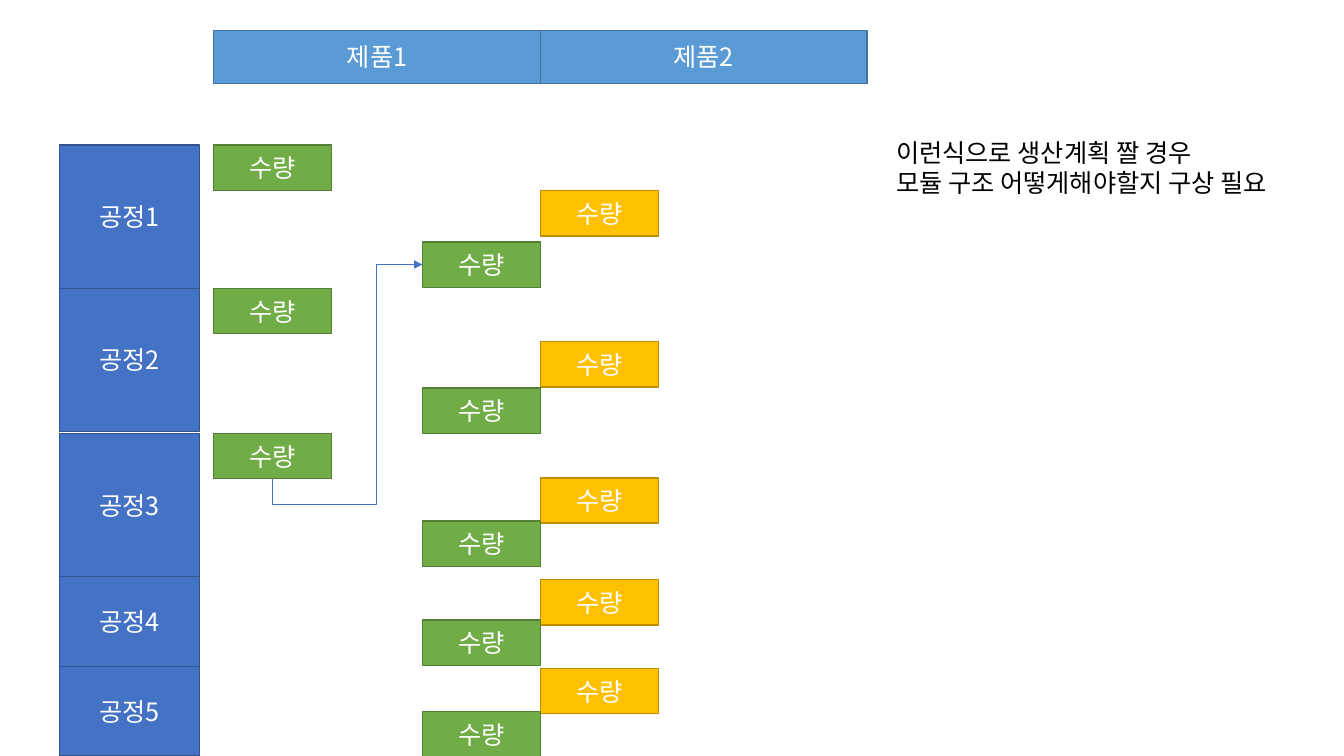
from lxml import etree
from pptx import Presentation
from pptx import util as u
from pptx.dml.color import RGBColor
from pptx.enum import shapes, text
from pptx.oxml.ns import qn

FONT = "Noto Sans CJK KR"
WHITE = RGBColor(0xFF, 0xFF, 0xFF)
BLACK = RGBColor(0, 0, 0)
BLUE = RGBColor(0x44, 0x72, 0xC4)
# Each style is a fill and a line colour
PROCESS = (BLUE, RGBColor(0x32, 0x54, 0x91))
PRODUCT = (RGBColor(0x5B, 0x9B, 0xD5), RGBColor(0x43, 0x73, 0x9E))
GREEN = (RGBColor(0x70, 0xAD, 0x47), RGBColor(0x53, 0x80, 0x35))
YELLOW = (RGBColor(0xFF, 0xC0, 0x00), RGBColor(0xBD, 0x8E, 0x00))

PROCESS_TOPS = [1.44, 2.86, 4.3, 5.72, 6.61]
PROCESS_HEIGHTS = [1.42, 1.42, 1.42, 0.89, 0.89]
PRODUCT_LEFT, PRODUCT_WIDTH = 2.12, 3.24
QUANTITY_WIDTH, QUANTITY_HEIGHT = 1.17, 0.45
SECOND_LEFT = PRODUCT_LEFT + PRODUCT_WIDTH
FIRST_END = SECOND_LEFT - QUANTITY_WIDTH
QUANTITY_COLUMNS = [
    (PRODUCT_LEFT, PROCESS_TOPS[:3], GREEN),
    (SECOND_LEFT, [1.89, 3.39, 4.74, 5.75, 6.63], YELLOW),
    (FIRST_END, [2.4, 3.85, 5.17, 6.15, 7.06], GREEN),
]


def format_text(text_frame, color):
    for paragraph in text_frame.paragraphs:
        for run in paragraph.runs:
            run.font.size = u.Pt(18)
            run.font.name = FONT
            run.font.color.rgb = color
            east_asian = etree.SubElement(run.font._element, qn("a:ea"))
            east_asian.set("typeface", FONT)


def add_box(slide, box, label, style):
    shape = slide.shapes.add_shape(shapes.MSO_SHAPE.RECTANGLE, *map(u.Inches, box))
    shape.shadow.inherit = False
    shape.fill.solid()
    shape.fill.fore_color.rgb, shape.line.color.rgb = style
    shape.line.width = u.Pt(1)
    shape.text_frame.text = label
    shape.text_frame.vertical_anchor = text.MSO_ANCHOR.MIDDLE
    shape.text_frame.paragraphs[0].alignment = text.PP_ALIGN.CENTER
    format_text(shape.text_frame, WHITE)


def add_processes(slide, left, width):
    for number, (top, height) in enumerate(zip(PROCESS_TOPS, PROCESS_HEIGHTS), 1):
        add_box(slide, (left, top, width, height), f"공정{number}", PROCESS)


def add_products(slide, top, height):
    for index in range(2):
        left = PRODUCT_LEFT + index * PRODUCT_WIDTH
        add_box(slide, (left, top, PRODUCT_WIDTH, height), f"제품{index + 1}", PRODUCT)


def add_quantities(slide):
    for left, tops, style in QUANTITY_COLUMNS:
        for top in tops:
            add_box(slide, (left, top, QUANTITY_WIDTH, QUANTITY_HEIGHT), "수량", style)


def add_flow_arrow(slide, start, end):
    """Bent arrow leaving start downwards and reaching end from the left."""
    center_x, center_y = ((a + b) / 2 for a, b in zip(start, end))
    # The box lies on its side before the quarter turn
    half_width, half_height = (start[1] - end[1]) / 2, (end[0] - start[0]) / 2
    connector = slide.shapes.add_connector(
        shapes.MSO_CONNECTOR.ELBOW,
        u.Inches(center_x + half_width), u.Inches(center_y + half_height),
        u.Inches(center_x - half_width), u.Inches(center_y - half_height))
    connector.line.color.rgb = BLUE
    connector.line.width = u.Pt(0.5)
    properties = connector._element.spPr
    properties.find(qn("a:xfrm")).set("rot", str(90 * 60000))
    geometry = properties.find(qn("a:prstGeom"))
    geometry.set("prst", "bentConnector4")
    adjustments = geometry.find(qn("a:avLst"))
    if adjustments is None:
        adjustments = etree.SubElement(geometry, qn("a:avLst"))
    for name, value in (("adj1", -11800), ("adj2", 69500)):
        etree.SubElement(adjustments, qn("a:gd"), name=name, fmla=f"val {value}")
    line = properties.find(qn("a:ln"))
    etree.SubElement(line, qn("a:tailEnd"), type="triangle")
    etree.SubElement(properties, qn("a:effectLst"))


def add_note(slide, box):
    note = slide.shapes.add_textbox(*map(u.Inches, box))
    frame = note.text_frame
    frame.text = "이런식으로 생산계획 짤 경우\n모듈 구조 어떻게해야할지 구상 필요"
    frame.word_wrap = False
    frame.auto_size = text.MSO_AUTO_SIZE.SHAPE_TO_FIT_TEXT
    format_text(frame, BLACK)


def main():
    presentation = Presentation()
    presentation.slide_width = u.Inches(13.33)
    presentation.slide_height = u.Inches(7.5)
    slide = presentation.slides.add_slide(presentation.slide_layouts[6])
    add_processes(slide, left=0.59, width=1.39)
    add_products(slide, top=0.3, height=0.53)
    add_quantities(slide)
    add_flow_arrow(
        slide,
        start=(PRODUCT_LEFT + QUANTITY_WIDTH / 2, PROCESS_TOPS[2] + QUANTITY_HEIGHT),
        end=(FIRST_END, 2.4 + QUANTITY_HEIGHT / 2))
    add_note(slide, (8.79, 1.31, 4.35, 0.71))
    presentation.save("out.pptx")


if __name__ == "__main__":
    main()
